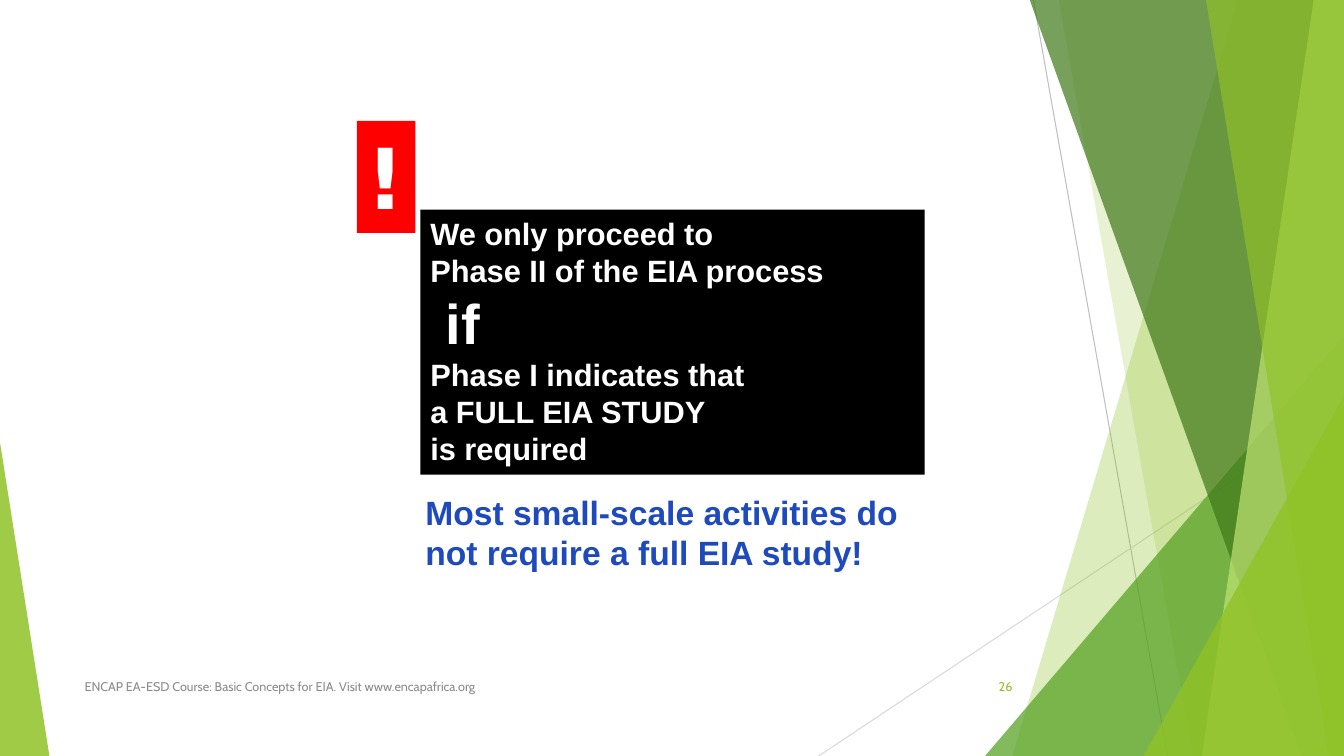
from pptx import Presentation
from pptx.dml.color import RGBColor
from pptx.enum.shapes import MSO_CONNECTOR, MSO_SHAPE
from pptx.enum.text import MSO_ANCHOR, PP_ALIGN
from pptx.oxml.ns import qn
from pptx.util import Inches, Pt
from lxml.etree import SubElement

WHITE = RGBColor(0xFF, 0xFF, 0xFF)
BLACK = RGBColor(0, 0, 0)
RED = RGBColor(0xFF, 0, 0)
BLUE = RGBColor(0x1E, 0x4A, 0xBD)
GREY = RGBColor(0x8C, 0x8C, 0x8C)
SILVER = RGBColor(0xBF, 0xBF, 0xBF)
PALE = RGBColor(0xD9, 0xD9, 0xD9)
LIME = RGBColor(0x90, 0xC2, 0x26)
LEAF = RGBColor(0x54, 0xA0, 0x21)
FOREST = RGBColor(0x3F, 0x78, 0x19)
MINT = RGBColor(0xC0, 0xE4, 0x74)

WIDE, HIGH, TOP = 13.33, 7.5, -0.01

deck = Presentation()
deck.slide_width, deck.slide_height = Inches(WIDE), Inches(HIGH)
slide = deck.slides.add_slide(deck.slide_layouts[6])
shapes = slide.shapes


def paint(shape, color, alpha=100):
    shape.shadow.inherit = False
    shape.fill.solid()
    shape.fill.fore_color.rgb = color
    shape.line.fill.background()
    if alpha < 100:
        tint = shape.fill._xPr.find(qn("a:solidFill"))[0]
        SubElement(tint, qn("a:alpha")).set("val", str(alpha * 1000))


def write(shape, lines, anchor=MSO_ANCHOR.TOP, align=PP_ALIGN.LEFT, wrap=True):
    """Fill one paragraph; each line is (text, font values)."""
    frame = shape.text_frame
    frame.word_wrap, frame.vertical_anchor = wrap, anchor
    para = frame.paragraphs[0]
    para.alignment = align
    for i, (text, style) in enumerate(lines):
        if i:
            para.add_line_break()
        run = para.add_run()
        run.text = text
        for key, value in style.items():
            if key == "color":
                run.font.color.rgb = value
            else:
                setattr(run.font, key, value)


# Thin lines behind the facets
for x1, y1, x2, y2, color in [(10.25, 0, 11.58, HIGH, SILVER),
                              (WIDE, 4.03, 8.12, HIGH, PALE)]:
    line = shapes.add_connector(MSO_CONNECTOR.STRAIGHT, Inches(x1), Inches(y1),
                                Inches(x2), Inches(y2))
    line.line.color.rgb = color
    line.line.width = Pt(0.75)
    SubElement(line._element.spPr, qn("a:effectLst"))

# Facets: "band" runs from top x to bottom x and on to the right edge,
# "peak" is a triangle given by left, top, width and apex
facets = [
    ("band", (12.28, 10.04), LIME, 30),
    ("band", (10.5, 11.83), LIME, 20),
    ("peak", (9.77, 3.33, 3.56, 1), LEAF, 72),
    ("band", (10.21, 12.91), FOREST, 70),
    ("band", (13.03, 11.92), MINT, 70),
    ("band", (11.96, 13.18), LIME, 65),
    ("peak", (11.34, 3.93, 1.99, 1), LIME, 80),
    ("peak", (0, 4.39, 0.49, 0), LIME, 85),
]
for kind, size, color, alpha in facets:
    if kind == "band":
        high, low = size
        pen = shapes.build_freeform(Inches(high), Inches(TOP))
        pen.add_line_segments([(Inches(x), Inches(y)) for x, y in
                               [(WIDE, TOP), (WIDE, HIGH), (low, HIGH)]])
        facet = pen.convert_to_shape()
    else:
        left, top, width, apex = size
        facet = shapes.add_shape(MSO_SHAPE.ISOSCELES_TRIANGLE, Inches(left), Inches(top),
                                 Inches(width), Inches(HIGH - top))
        facet.adjustments[0] = apex
    paint(facet, color, alpha)

# Footer and slide number
small = {"size": Pt(9), "name": "Cabin"}
for left, width, text, color, align in [
    (0.74, 6.89, "ENCAP EA-ESD Course: Basic Concepts for EIA. Visit www.encapafrica.org",
     GREY, PP_ALIGN.LEFT),
    (9.39, 0.75, "26", LIME, PP_ALIGN.RIGHT),
]:
    box = shapes.add_textbox(Inches(left), Inches(6.61), Inches(width), Inches(0.4))
    write(box, [(text, small | {"color": color})], MSO_ANCHOR.MIDDLE, align)

# Black panel with the condition
bold = {"size": Pt(22), "name": "Arial", "bold": True, "color": WHITE}
panel = shapes.add_shape(MSO_SHAPE.RECTANGLE, Inches(4.17), Inches(2.08), Inches(5), Inches(2.63))
paint(panel, BLACK)
write(panel, [
    ("We only proceed to", bold),
    ("Phase II of the EIA process", bold),
    (" if", bold | {"size": Pt(40)}),
    ("Phase I indicates that", bold),
    ("a FULL EIA STUDY", bold),
    ("is required", bold),
])

# Red warning mark
mark = shapes.add_shape(MSO_SHAPE.RECTANGLE, Inches(3.54), Inches(1.2), Inches(0.58), Inches(1.11))
paint(mark, RED)
write(mark, [("!", bold | {"size": Pt(60), "name": "DejaVu Sans"})], wrap=False)

# Blue remark
remark = shapes.add_textbox(Inches(4.12), Inches(4.83), Inches(5.08), Inches(0.91))
write(remark, [("Most small-scale activities do not require a full EIA study!",
                bold | {"size": Pt(24), "color": BLUE})])

deck.save("out.pptx")
